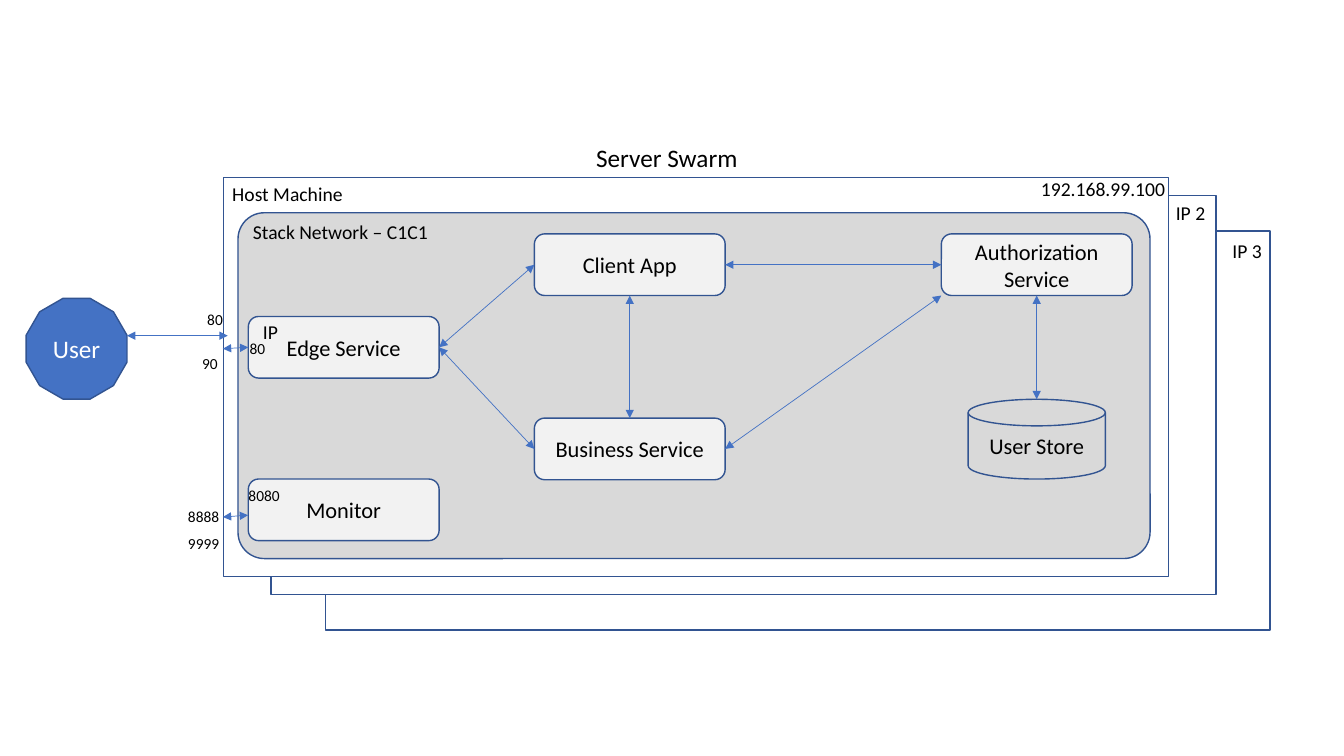
import pptx
import pptx.util
import pptx.dml.color
import pptx.enum.shapes
import pptx.enum.text
import pptx.oxml
import pptx.oxml.ns

Pt = pptx.util.Pt
MSO = pptx.enum.shapes.MSO_SHAPE
ALIGN = pptx.enum.text.PP_ALIGN
ANCHOR = pptx.enum.text.MSO_ANCHOR
TOP, LEFT, BOTTOM, RIGHT = range(4)

COLORS = {
    "white": "FFFFFF",
    "black": "000000",
    "outline": "325491",
    "accent": "4472C4",
    "network": "D9D9D9",
    "service": "F2F2F2",
}
FONT = "Calibri"
SERVICE_W, SERVICE_H = 136.3, 44


def rgb(name):
    return pptx.dml.color.RGBColor.from_string(COLORS[name])


def write_text(sp, text, size=16, color="black", align=ALIGN.CENTER,
               anchor=ANCHOR.MIDDLE, wrap=True):
    tf = sp.text_frame
    tf.word_wrap = wrap
    tf.vertical_anchor = anchor
    p = tf.paragraphs[0]
    p.alignment = align
    r = p.add_run()
    r.text = text
    r.font.name = FONT
    r.font.size = Pt(size)
    r.font.color.rgb = rgb(color)


def add_box(s, kind, box, fill, text=None, **fmt):
    sp = s.shapes.add_shape(kind, *map(Pt, box))
    sp.shadow.inherit = False
    sp.fill.solid()
    sp.fill.fore_color.rgb = rgb(fill)
    sp.line.color.rgb = rgb("outline")
    sp.line.width = Pt(1)
    if text:
        write_text(sp, text, **fmt)
    return sp


def add_label(s, text, x, y, w, h=24.5, size=14):
    sp = s.shapes.add_textbox(Pt(x), Pt(y), Pt(w), Pt(h))
    write_text(sp, text, size=size, align=ALIGN.LEFT, anchor=ANCHOR.TOP, wrap=False)
    sp.text_frame.auto_size = pptx.enum.text.MSO_AUTO_SIZE.SHAPE_TO_FIT_TEXT


def add_arrow(s, start=(0, 0), end=(0, 0), begin_at=None, end_at=None):
    cx = s.shapes.add_connector(pptx.enum.shapes.MSO_CONNECTOR.STRAIGHT,
                                *map(Pt, (*start, *end)))
    if begin_at:
        cx.begin_connect(*begin_at)
    if end_at:
        cx.end_connect(*end_at)
    cx.line.color.rgb = rgb("accent")
    cx.line.width = Pt(0.5)
    ln = cx.line._get_or_add_ln()
    for tag in ("a:headEnd", "a:tailEnd"):
        ln.append(pptx.oxml.parse_xml(
            f'<{tag} {pptx.oxml.ns.nsdecls("a")} type="triangle"/>'))
    cx._element.spPr.append(pptx.oxml.parse_xml(
        f'<a:effectLst {pptx.oxml.ns.nsdecls("a")}/>'))


def draw_hosts(s, box):
    x, y, w, h = box
    for dx, dy in ((72.5, 38.3), (33.7, 13), (0, 0)):
        add_box(s, MSO.RECTANGLE, (x + dx, y + dy, w, h), "white")
    add_label(s, "Host Machine", x - 1, y, 94.3)
    add_label(s, "Server Swarm", x + 259, y - 28.3, 125.3, 28.8, size=18)
    add_label(s, "192.168.99.100", x + 576.6, y - 4, 104.4)
    add_label(s, "IP 2", x + 673, y + 13, 36)
    add_label(s, "IP 3", x + 713.4, y + 40.4, 36)


def draw_network(s, box):
    x, y, w, h = box
    sp = add_box(s, MSO.ROUNDED_RECTANGLE, box, "network")
    sp.adjustments[0] = 0.076
    add_label(s, "Stack Network – C1C1", x + 3.6, y + 1.4, 140.4)

    left, middle, right = x + 7.4, x + 211.7, x + 502.4
    upper, lower = y + 15.1, y + 146.7

    def service(text, sx, sy):
        return add_box(s, MSO.ROUNDED_RECTANGLE, (sx, sy, SERVICE_W, SERVICE_H),
                       "service", text)

    client = service("Client App", middle, upper)
    business = service("Business Service", middle, lower)
    auth = service("Authorization Service", right, upper)
    edge = service("Edge Service", left, y + 74.1)
    service("Monitor", left, y + 190.2)
    add_label(s, "IP", left + 3.3, y + 73.2, 25.2)

    store_w, store_y = 98, y + 133.2
    store_mid = right + SERVICE_W / 2
    add_box(s, MSO.FLOWCHART_MAGNETIC_DISK,
            (store_mid - store_w / 2, store_y, store_w, 57), "network", "User Store")

    for begin_at, end_at in (
        ((client, BOTTOM), (business, TOP)),
        ((client, RIGHT), (auth, LEFT)),
        ((edge, RIGHT), (client, LEFT)),
        ((edge, RIGHT), (business, LEFT)),
    ):
        add_arrow(s, begin_at=begin_at, end_at=end_at)
    add_arrow(s, end=(store_mid, store_y), begin_at=(auth, BOTTOM))
    add_arrow(s, end=(right, upper + SERVICE_H), begin_at=(business, RIGHT))
    return edge


def draw_ports(s, box, edge):
    x, y = box[:2]
    add_arrow(s, start=(x - 0.6, y + 122.4), end_at=(edge, LEFT))
    add_arrow(s, start=(x - 0.6, y + 242.6), end=(x + 17.4, y + 241.3))
    for text, dx, dy, w in (
        ("80", -18.9, 91.5, 26),
        ("80", 11.4, 111.9, 26),
        ("90", -22.5, 122.4, 26),
        ("8080", 10.6, 216.7, 37.4),
        ("8888", -32.6, 231.9, 37.4),
        ("9999", -32.6, 250.9, 37.4),
    ):
        add_label(s, text, x + dx, y + dy, w, 20.6, size=11)


def draw_user(s, box):
    x, y, w, h = box
    add_box(s, MSO.DODECAGON, box, "accent", "User", size=18, color="white")
    arrow_y = y + 26.7
    add_arrow(s, start=(x + w, arrow_y), end=(x + 2 * w, arrow_y))


def main():
    prs = pptx.Presentation()
    prs.slide_width, prs.slide_height = Pt(960), Pt(540)
    s = prs.slides.add_slide(prs.slide_layouts[6])
    host = (159.8, 126.7, 675, 285)
    draw_hosts(s, host)
    edge = draw_network(s, (170, 152, 651.5, 247))
    draw_ports(s, host, edge)
    draw_user(s, (18.7, 213.1, 72, 72))
    prs.save("out.pptx")


if __name__ == "__main__":
    main()
